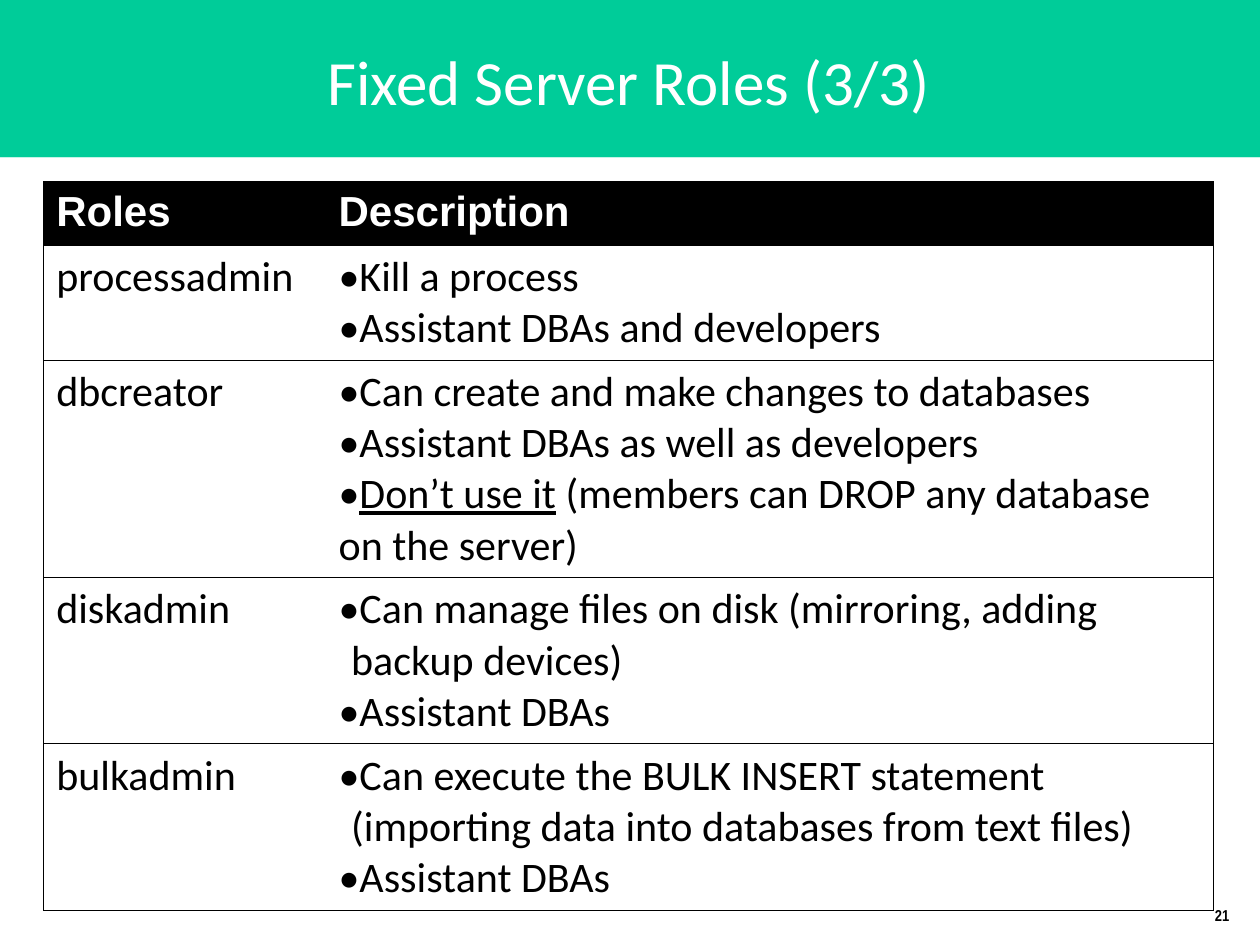
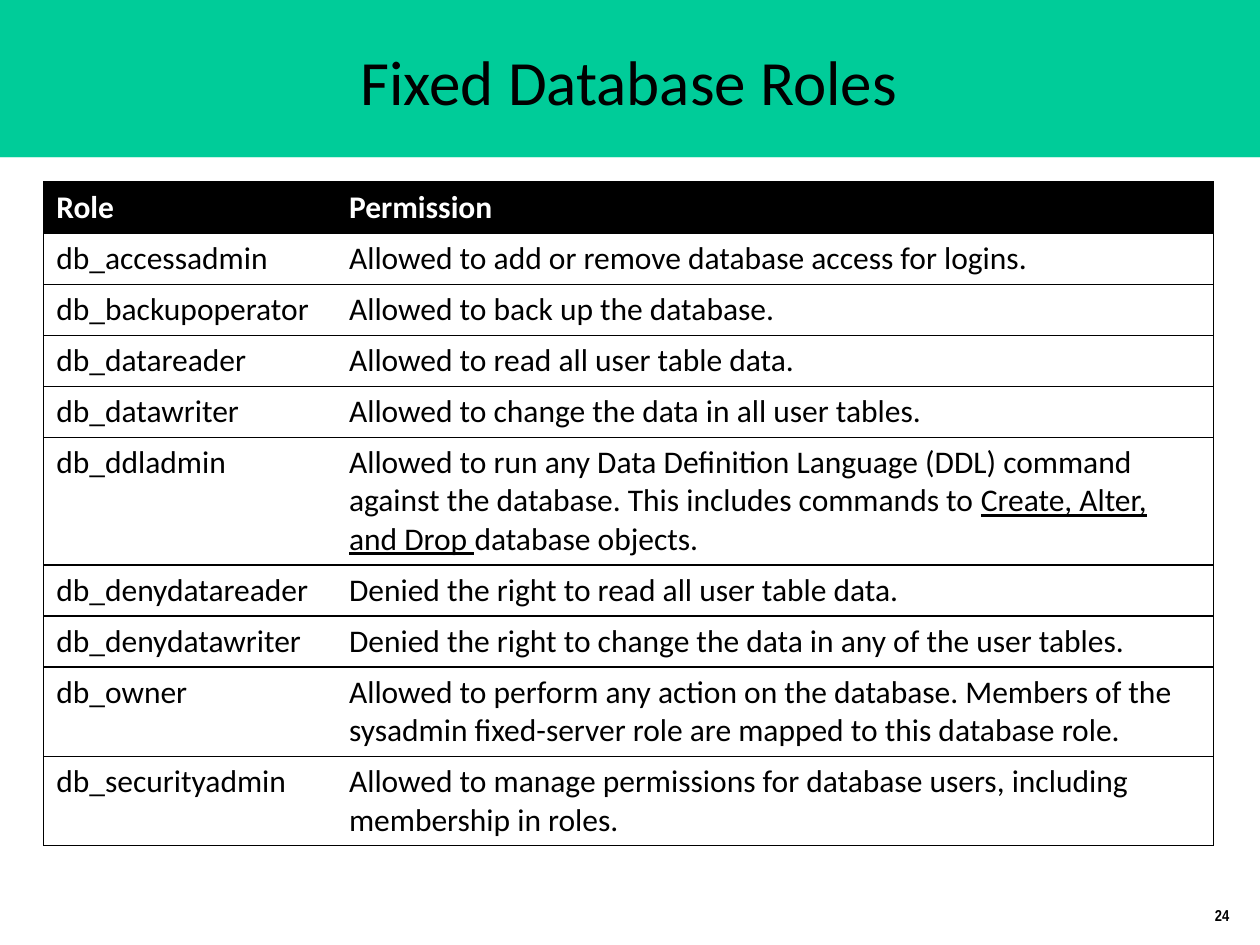
from lxml import etree
from pptx import Presentation
from pptx import util as u
from pptx.dml import color
from pptx.enum import shapes, text
from pptx.oxml import ns

Pt = u.Pt
COLORS = {"band": "00CC99", "paper": "FFFFFF", "ink": "000000"}
FONT = "Calibri"
WIDTH, HEIGHT, BAND = 720, 540, 90
LEFT, CONTENT_WIDTH = 25, 668.6
LINE_SPACING, CELL_MARGINS, BORDER = 1.22, 7.2, 0.75

# Each row: role, description, number of lines the description takes.
SERVER_ROLES = [
    ("Roles", "Description", 1),
    ("processadmin", ["Kill a process", "Assistant DBAs and developers"], 2),
    ("dbcreator", ["Can create and make changes to databases",
                   "Assistant DBAs as well as developers",
                   "*Don’t use it* (members can DROP any database on the server)"], 4),
    ("diskadmin", ["Can manage files on disk (mirroring, adding backup devices)",
                   "Assistant DBAs"], 3),
    ("bulkadmin", ["Can execute the BULK INSERT statement "
                   "(importing data into databases from text files)",
                   "Assistant DBAs"], 3),
]
HANGING_ROLES = ("diskadmin", "bulkadmin")

DATABASE_ROLES = [
    ("Role", "Permission", 1),
    ("db_accessadmin", "Allowed to add or remove database access for logins.", 1),
    ("db_backupoperator", "Allowed to back up the database.", 1),
    ("db_datareader", "Allowed to read all user table data.", 1),
    ("db_datawriter", "Allowed to change the data in all user tables.", 1),
    ("db_ddladmin", "Allowed to run any Data Definition Language (DDL) command "
                    "against the database. This includes commands to "
                    "*Create, Alter, and Drop *database objects.", 3),
    ("db_denydatareader", "Denied the right to read all user table data.", 1),
    ("db_denydatawriter", "Denied the right to change the data in any of the user tables.", 1),
    ("db_owner", "Allowed to perform any action on the database. Members of the "
                 "sysadmin fixed-server role are mapped to this database role.", 2),
    ("db_securityadmin", "Allowed to manage permissions for database users, "
                         "including membership in roles.", 2),
]


def rgb(name):
    return color.RGBColor.from_string(COLORS[name])


def add_bullet(p, hang):
    pPr = p._p.get_or_add_pPr()
    pPr.set("marL", str(Pt(hang)))
    pPr.set("indent", str(-Pt(hang)))
    etree.SubElement(pPr, ns.qn("a:buFont"), typeface=FONT)
    etree.SubElement(pPr, ns.qn("a:buChar"), char="•")


def write(tf, lines, size=18, font=FONT, ink="ink", bold=False,
          align=text.PP_ALIGN.LEFT, bullet=False, hang=0):
    """Write one paragraph per line; text between asterisks is underlined."""
    tf.word_wrap = True
    for i, line in enumerate([lines] if isinstance(lines, str) else lines):
        p = tf.paragraphs[0] if i == 0 else tf.add_paragraph()
        p.alignment = align
        if bullet:
            add_bullet(p, hang)
        for j, part in enumerate(line.split("*")):
            if not part:
                continue
            r = p.add_run()
            r.text = part
            r.font.name, r.font.size, r.font.bold = font, Pt(size), bold
            r.font.color.rgb = rgb(ink)
            if j % 2:
                r.font.underline = True


def set_borders(cell, sides):
    """Draw the given sides of a cell and clear the others."""
    tcPr = cell._tc.get_or_add_tcPr()
    for i, side in enumerate("LRTB"):
        ln = etree.Element(ns.qn(f"a:ln{side}"), w=str(Pt(BORDER)))
        if side in sides:
            fill = etree.SubElement(ln, ns.qn("a:solidFill"))
            etree.SubElement(fill, ns.qn("a:srgbClr"), val=COLORS["ink"])
        else:
            etree.SubElement(ln, ns.qn("a:noFill"))
        tcPr.insert(i, ln)


class Deck:
    def __init__(self):
        self.prs = Presentation()
        self.prs.slide_width, self.prs.slide_height = Pt(WIDTH), Pt(HEIGHT)
        self.s = None

    def slide(self, title, number, ink):
        self.s = self.prs.slides.add_slide(self.prs.slide_layouts[6])
        self.band(0, BAND, "band")
        self.band(BAND, HEIGHT - BAND, "paper")
        self.textbox(629, 509.5, 80.5, 22.5, str(number), text.MSO_ANCHOR.BOTTOM,
                     size=9, font="Arial Narrow", bold=True, align=text.PP_ALIGN.RIGHT)
        self.textbox(LEFT, 4, CONTENT_WIDTH, 84, title, text.MSO_ANCHOR.MIDDLE,
                     size=36, ink=ink, align=text.PP_ALIGN.CENTER)

    def band(self, top, height, fill):
        sp = self.s.shapes.add_shape(shapes.MSO_SHAPE.RECTANGLE,
                                     0, Pt(top), Pt(WIDTH), Pt(height))
        sp.shadow.inherit = False
        sp.fill.solid()
        sp.fill.fore_color.rgb = rgb(fill)
        sp.line.fill.background()

    def textbox(self, left, top, width, height, content, anchor, **fmt):
        sp = self.s.shapes.add_textbox(Pt(left), Pt(top), Pt(width), Pt(height))
        sp.text_frame.vertical_anchor = anchor
        write(sp.text_frame, content, **fmt)

    def table(self, rows, first_width, size, header_height, header_font=FONT,
              bulleted=False, hanging=()):
        """Add a two-column table with a black header row."""
        heights = [header_height] + [lines * size * LINE_SPACING + CELL_MARGINS
                                     for _, _, lines in rows[1:]]
        table = self.s.shapes.add_table(len(rows), 2, Pt(LEFT), Pt(104), Pt(CONTENT_WIDTH),
                                        Pt(sum(heights))).table
        table.horz_banding = False
        for col, width in zip(table.columns, (first_width, CONTENT_WIDTH - first_width)):
            col.width = Pt(width)
        for i, (role, description, _) in enumerate(rows):
            table.rows[i].height = Pt(heights[i])
            header = i == 0
            for j, content in enumerate((role, description)):
                cell = table.cell(i, j)
                cell.fill.solid()
                cell.fill.fore_color.rgb = rgb("ink" if header else "paper")
                set_borders(cell, "LTB" if j == 0 else "RTB")
                write(cell.text_frame, content, size=size, bold=header,
                      font=header_font if header else FONT,
                      ink="paper" if header else "ink",
                      bullet=bulleted and j == 1 and not header,
                      hang=7.2 if role in hanging else 0)


def main():
    deck = Deck()
    deck.slide("Fixed Server Roles (3/3)", 21, "paper")
    deck.table(SERVER_ROLES, 161.3, 24, 34, header_font="Arial", bulleted=True,
               hanging=HANGING_ROLES)
    deck.slide("Fixed Database Roles", 24, "ink")
    deck.table(DATABASE_ROLES, 167.3, 18, 29.2)
    deck.prs.save("out.pptx")


if __name__ == "__main__":
    main()
